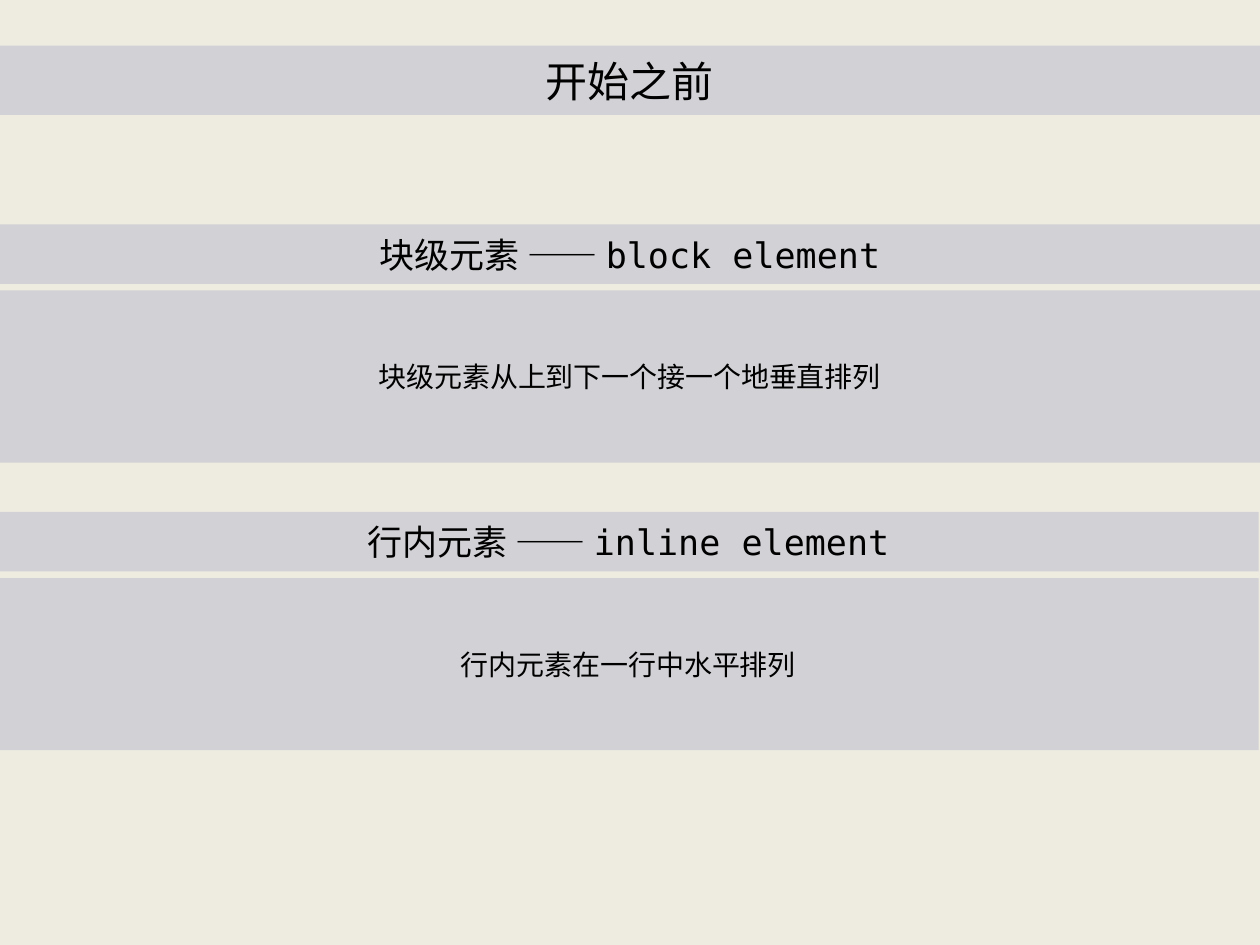
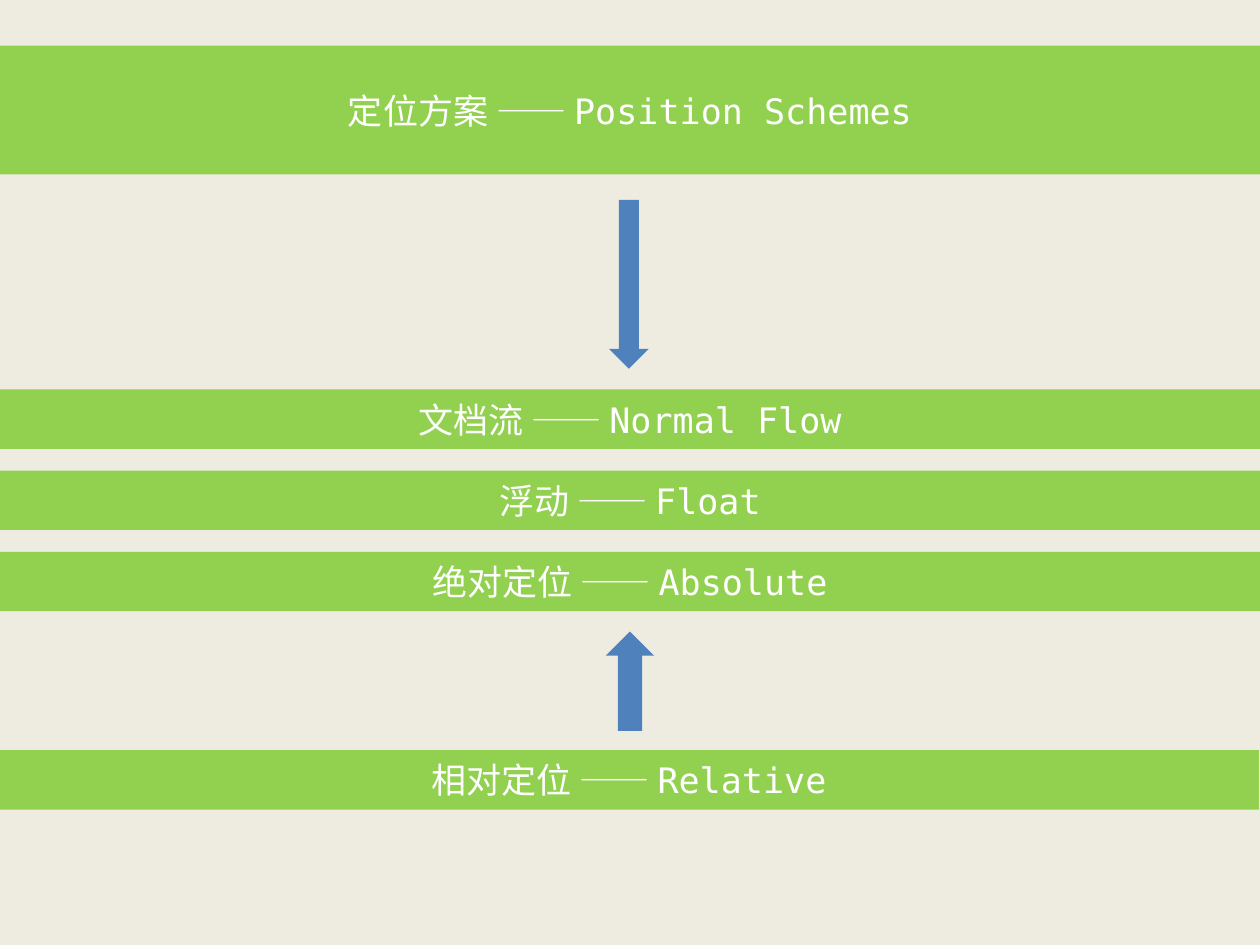
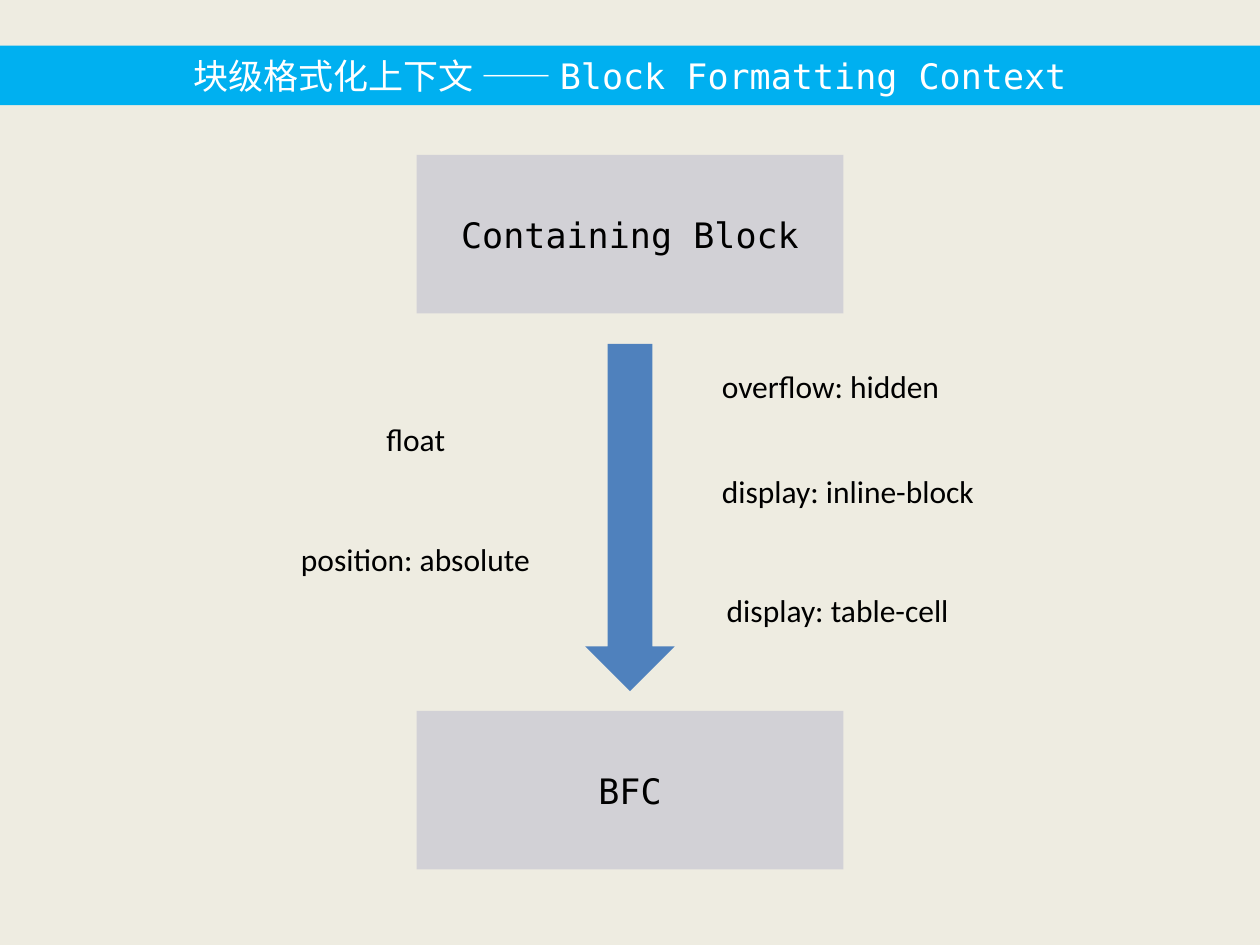
from lxml import etree
from pptx import Presentation
from pptx.dml.color import RGBColor
from pptx.enum.shapes import MSO_SHAPE
from pptx.enum.text import MSO_ANCHOR, MSO_AUTO_SIZE, PP_ALIGN
from pptx.oxml.ns import qn
from pptx.util import Pt

# Shared look
CREAM = RGBColor(0xEE, 0xEC, 0xE1)
GREY = RGBColor(0xD2, 0xD1, 0xD6)
GREEN = RGBColor(0x92, 0xD0, 0x50)
SKY = RGBColor(0x00, 0xB0, 0xF0)
BLUE = RGBColor(0x4F, 0x81, 0xBD)
BLACK = RGBColor(0x00, 0x00, 0x00)
WHITE = RGBColor(0xFF, 0xFF, 0xFF)

CJK = "Noto Sans CJK SC"
MONO = "DejaVu Sans Mono"
SANS = "Calibri"

RECT, DOWN, UP = MSO_SHAPE.RECTANGLE, MSO_SHAPE.DOWN_ARROW, MSO_SHAPE.UP_ARROW
MIDDLE, CENTER = MSO_ANCHOR.MIDDLE, PP_ALIGN.CENTER
FIXED, GROW = MSO_AUTO_SIZE.NONE, MSO_AUTO_SIZE.SHAPE_TO_FIT_TEXT
TITLE_ONLY = 5

SLIDE_W, SLIDE_H = 720, 540
TITLE_TOP = 26.1
BAND_H = 34


def points(*lengths):
    return [Pt(length) for length in lengths]


def add_run(paragraph, text, font, size, color):
    run = paragraph.add_run()
    run.text = text
    run.font.name = font
    run.font.size = Pt(size)
    run.font.color.rgb = color
    etree.SubElement(run.font._element, qn("a:ea"), typeface=font)


def bilingual(chinese, english):
    return [(f"{chinese} —— ", CJK), (english, MONO)]


def fill_panel(panel, runs, fill, color, size):
    """Colour a panel and centre its runs of (text, font)."""
    panel.fill.solid()
    panel.fill.fore_color.rgb = fill
    panel.line.fill.background()
    frame = panel.text_frame
    frame.word_wrap = True
    frame.auto_size = FIXED
    frame.vertical_anchor = MIDDLE
    paragraph = frame.paragraphs[0]
    paragraph.alignment = CENTER
    for text, font in runs:
        add_run(paragraph, text, font, size, color)


def add_shape(slide, kind, box, runs=(), fill=GREY, color=BLACK, size=20):
    shape = slide.shapes.add_shape(kind, *points(*box))
    shape.shadow.inherit = False
    fill_panel(shape, runs, fill, color, size)


def titled_slide(prs, runs, height, fill, color, size=20):
    """Start a slide whose title is a full-width band."""
    slide = prs.slides.add_slide(prs.slide_layouts[TITLE_ONLY])
    title = slide.shapes.title
    title.left, title.top, title.width, title.height = points(
        0, TITLE_TOP, SLIDE_W, height)
    fill_panel(title, runs, fill, color, size)
    return slide


def element_section(slide, left, top, heading, rule):
    """Heading band with the layout rule in a taller band below."""
    add_shape(slide, RECT, (left, top, SLIDE_W, BAND_H), heading)
    add_shape(slide, RECT, (left, top + 37.8, SLIDE_W, 98.4),
              [(rule, CJK)], size=16)


def add_label(slide, text, left, top, width):
    label = slide.shapes.add_textbox(*points(left, top, width, 29.1))
    frame = label.text_frame
    frame.word_wrap = False
    frame.auto_size = GROW
    add_run(frame.paragraphs[0], text, SANS, 18, BLACK)


def elements_slide(prs):
    slide = titled_slide(prs, [("开始之前", CJK)], 39.6, GREY, BLACK, 24)
    element_section(slide, 0, 128.2, bilingual("块级元素", "block element"),
                    "块级元素从上到下一个接一个地垂直排列")
    element_section(slide, -0.8, 292.5, bilingual("行内元素", "inline element"),
                    "行内元素在一行中水平排列")


def schemes_slide(prs):
    slide = titled_slide(prs, bilingual("定位方案", "Position Schemes"),
                         73.6, GREEN, WHITE)
    # Three schemes at an equal pitch, then the relative one
    schemes = [("文档流", "Normal Flow"), ("浮动", "Float"),
               ("绝对定位", "Absolute")]
    bands = [(0, 222.5 + 46.4 * i, names) for i, names in enumerate(schemes)]
    bands.append((-0.6, 428.7, ("相对定位", "Relative")))
    for left, top, names in bands:
        add_shape(slide, RECT, (left, top, SLIDE_W, BAND_H),
                  bilingual(*names), GREEN, WHITE)
    add_shape(slide, DOWN, (348, 114.3, 22.7, 96.5), fill=BLUE)
    add_shape(slide, UP, (346.2, 360.9, 27.6, 56.8), fill=BLUE)


def context_slide(prs):
    slide = titled_slide(
        prs, bilingual("块级格式化上下文", "Block Formatting Context"),
        BAND_H, SKY, WHITE)
    # From containing block to formatting context
    for name, top in (("Containing Block", 88.5), ("BFC", 406.2)):
        add_shape(slide, RECT, (238.1, top, 243.8, 90.6), [(name, MONO)])
    add_shape(slide, DOWN, (334.4, 196.5, 51.2, 198.4), fill=BLUE)
    # Declarations that trigger the change
    triggers = [
        ("overflow: hidden", 405.4, 205.9, 142.6),
        ("display: inline-block", 405.4, 266.4, 162),
        ("float", 213.8, 236.2, 48.2),
        ("position: absolute", 164.9, 304.9, 146.9),
        ("display: table-cell", 408.2, 334.1, 144.7),
    ]
    for trigger in triggers:
        add_label(slide, *trigger)


def main():
    prs = Presentation()
    prs.slide_width, prs.slide_height = points(SLIDE_W, SLIDE_H)
    backdrop = prs.slide_master.background.fill
    backdrop.solid()
    backdrop.fore_color.rgb = CREAM
    elements_slide(prs)
    schemes_slide(prs)
    context_slide(prs)
    prs.save("out.pptx")


if __name__ == "__main__":
    main()
